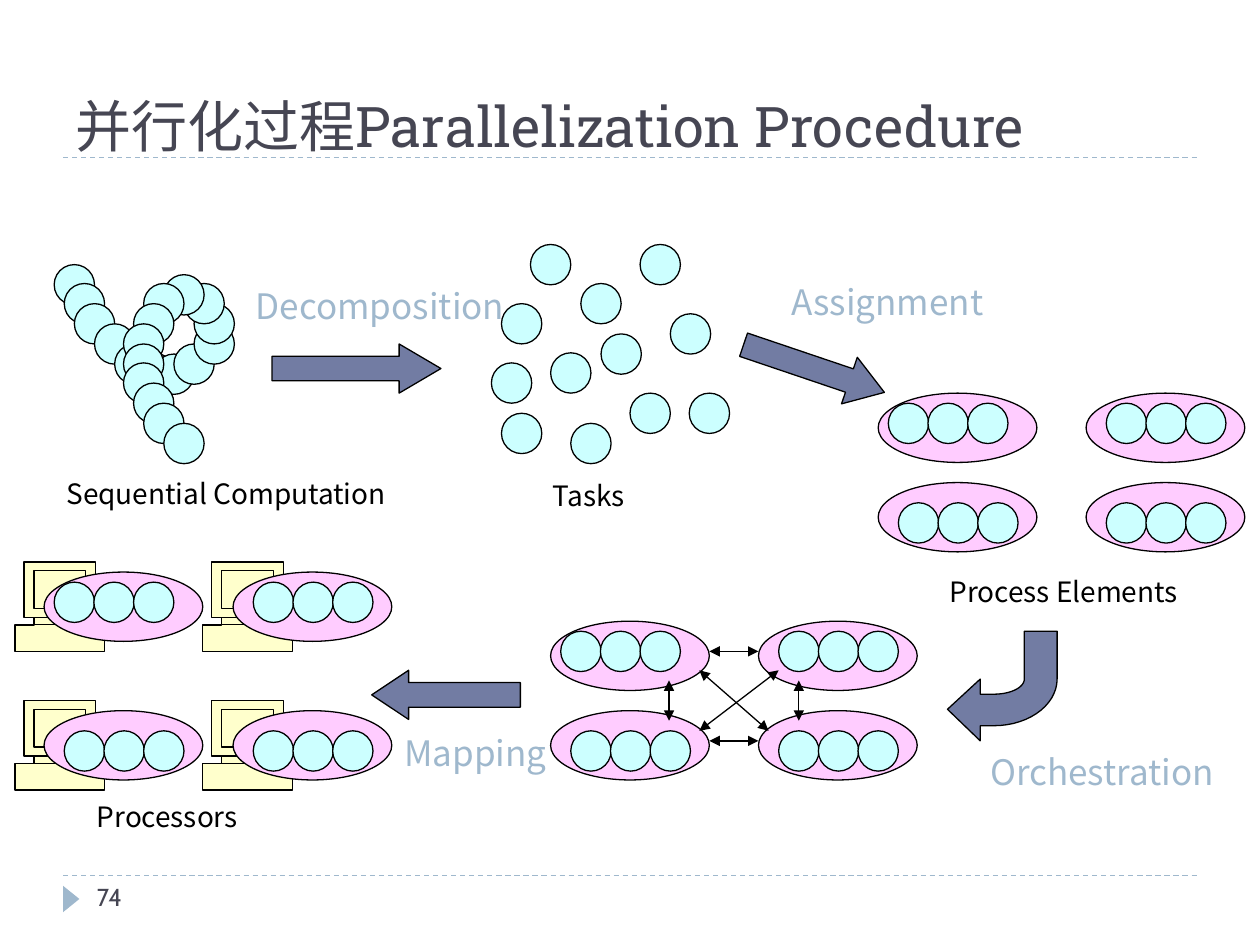
import math

import pptx
import pptx.dml.color
import pptx.enum.dml
import pptx.enum.shapes
import pptx.enum.text
import pptx.oxml
import pptx.oxml.ns
import pptx.util
from pptx.util import Inches

RGBColor = pptx.dml.color.RGBColor
Shape = pptx.enum.shapes.MSO_SHAPE

BLACK = RGBColor(0x00, 0x00, 0x00)
SLATE = RGBColor(0x46, 0x46, 0x53)
SKY = RGBColor(0x9F, 0xB8, 0xCD)
INDIGO = RGBColor(0x72, 0x7C, 0xA3)
CYAN = RGBColor(0xCC, 0xFF, 0xFF)
PINK = RGBColor(0xFF, 0xCC, 0xFF)
CREAM = RGBColor(0xFF, 0xFF, 0xCC)

TITLE_FONT = "Roboto Slab"
LABEL_FONT = "Noto Sans CJK JP"
NUMBER_FONT = "Cabin"

TASK_SIZE = 0.32
TASK_STEP = 0.315
PROCESS_WIDTH, PROCESS_HEIGHT = 1.26, 0.55

SEQUENCE = [
    (0.43, 2.1), (0.51, 2.25), (0.59, 2.41), (0.75, 2.57), (0.91, 2.73),
    (1.06, 2.8), (1.22, 2.81), (1.38, 2.73), (1.54, 2.57), (1.54, 2.41),
    (1.46, 2.25), (1.3, 2.18), (1.14, 2.25), (1.06, 2.41), (0.98, 2.57),
    (0.98, 2.73), (0.98, 2.88), (1.06, 3.04), (1.14, 3.2), (1.3, 3.36),
]
SCATTERED_TASKS = [
    (3.98, 2.41), (4.77, 2.65), (5.08, 1.94), (4.61, 2.25), (3.9, 2.88),
    (3.98, 3.28), (4.53, 3.36), (5, 3.12), (4.37, 2.8), (5.47, 3.12),
    (4.21, 1.94), (5.32, 2.49),
]
# Task offset inside each process ellipse, by (row, column)
TASK_OFFSETS = {(0, 0): (0.08, 0.08), (0, 1): (0.16, 0.08),
                (1, 0): (0.16, 0.16), (1, 1): (0.16, 0.16)}
COMPUTER_OUTLINE = [
    (0.56, 0.5), (0.56, 0.44), (0.64, 0.44), (0.64, 0), (0.07, 0),
    (0.07, 0.44), (0.15, 0.44), (0.15, 0.5), (0, 0.5), (0, 0.71),
    (0.71, 0.71), (0.71, 0.5),
]
COMPUTER_PARTS = [(0.15, 0.44, 0.41, 0.06), (0.15, 0.07, 0.41, 0.3),
                  (0.46, 0.54, 0.2, 0.02)]
COMMUNICATION = [
    (5.55, 5.32, 6.1, 5.8), (5.55, 5.8, 6.18, 5.32),
    (5.63, 5.17, 6.02, 5.17), (5.63, 5.88, 6.02, 5.88),
    (6.34, 5.72, 6.34, 5.4), (5.31, 5.72, 5.31, 5.4),
]
STAGES = [
    ("Sequential Computation", 0.43, 3.73, 2.84), ("Tasks", 4.29, 3.75, 0.87),
    ("Process Elements", 7.44, 4.51, 2.13), ("Processors", 0.67, 6.3, 1.42),
]
STEPS = [
    ("Decomposition", 1.93, 2.21, 2.28), ("Assignment", 6.18, 2.18, 2.28),
    ("Orchestration", 7.76, 5.91, 2.05), ("Mapping", 3.11, 5.76, 1.34),
]


def paint(shape, fill, outlined=True):
    shape.shadow.inherit = False
    shape.fill.solid()
    shape.fill.fore_color.rgb = fill
    if outlined:
        shape.line.color.rgb = BLACK
        shape.line.width = pptx.util.Pt(0.75)
    else:
        shape.line.fill.background()


def add_preset(page, kind, left, top, width, height, fill, outlined=True):
    shape = page.shapes.add_shape(
        kind, Inches(left), Inches(top), Inches(width), Inches(height))
    paint(shape, fill, outlined)
    return shape


def add_outline(page, points, fill):
    corners = [(Inches(x), Inches(y)) for x, y in points]
    builder = page.shapes.build_freeform(*corners[0])
    builder.add_line_segments(corners[1:], close=True)
    paint(builder.convert_to_shape(), fill)


def add_label(page, text, left, top, width, height, size, font, color,
              anchor=pptx.enum.text.MSO_ANCHOR.TOP):
    box = page.shapes.add_textbox(
        Inches(left), Inches(top), Inches(width), Inches(height))
    frame = box.text_frame
    frame.word_wrap = True
    frame.vertical_anchor = anchor
    para = frame.paragraphs[0]
    para.text = text
    para.font.size = pptx.util.Pt(size)
    para.font.name = font
    para.font.color.rgb = color


def add_line(page, x1, y1, x2, y2, color):
    line = page.shapes.add_connector(
        pptx.enum.shapes.MSO_CONNECTOR.STRAIGHT,
        Inches(x1), Inches(y1), Inches(x2), Inches(y2))
    line.line.color.rgb = color
    line.line.width = pptx.util.Pt(0.75)
    effects = pptx.oxml.parse_xml(
        "<a:effectLst %s/>" % pptx.oxml.ns.nsdecls("a"))
    line._element.spPr.append(effects)
    return line


def add_double_arrow(page, x1, y1, x2, y2):
    line = add_line(page, x1, y1, x2, y2, BLACK)
    for end in ("headEnd", "tailEnd"):
        line.line._get_or_add_ln().append(pptx.oxml.parse_xml(
            '<a:%s %s type="triangle"/>' % (end, pptx.oxml.ns.nsdecls("a"))))


def add_block_arrow(page, left, top, width, head, rotation=0):
    arrow = add_preset(
        page, Shape.RIGHT_ARROW, left, top, width, 0.39, INDIGO)
    arrow.adjustments[0] = 0.5
    arrow.adjustments[1] = head
    arrow.rotation = rotation


def add_bent_arrow(page):
    """Arrow that comes down and turns left through a quarter ellipse."""
    def quarter(radius_x, radius_y):
        angles = [math.radians(degrees) for degrees in range(0, 91, 6)]
        return [(7.89 + radius_x * math.cos(angle),
                 5.39 + radius_y * math.sin(angle)) for angle in angles]

    outer, inner = quarter(0.5, 0.37), quarter(0.24, 0.12)
    head = [(7.78, 5.51), (7.78, 5.39), (7.52, 5.63), (7.78, 5.88),
            (7.78, 5.76)]
    points = [(8.39, 5.01), (8.13, 5.01)] + inner + head + outer[::-1]
    add_outline(page, points, INDIGO)


def add_task(page, left, top):
    add_preset(page, Shape.OVAL, left, top, TASK_SIZE, TASK_SIZE, CYAN)


def add_process_grid(page, left, top, column_step, row_step):
    for (row, column), (dx, dy) in TASK_OFFSETS.items():
        x, y = left + column * column_step, top + row * row_step
        add_preset(page, Shape.OVAL, x, y, PROCESS_WIDTH, PROCESS_HEIGHT, PINK)
        for index in range(3):
            add_task(page, x + dx + index * TASK_STEP, y + dy)


def add_computer(page, left, top):
    add_outline(page, [(left + x, top + y) for x, y in COMPUTER_OUTLINE], CREAM)
    for x, y, width, height in COMPUTER_PARTS:
        add_preset(page, Shape.RECTANGLE, left + x, top + y, width, height, CREAM)


def add_page_frame(page):
    for y in (6.95, 1.25):
        rule = add_line(page, 0.5, y, 9.5, y, SKY)
        rule.line.dash_style = pptx.enum.dml.MSO_LINE.DASH
    marker = add_preset(page, Shape.ISOSCELES_TRIANGLE,
                        0.46, 7.07, 0.21, 0.13, SKY, outlined=False)
    marker.rotation = 90
    add_label(page, "并行化过程Parallelization Procedure", 0.5, 0.06, 8.13, 1.25,
              32, TITLE_FONT, SLATE, pptx.enum.text.MSO_ANCHOR.BOTTOM)
    add_label(page, "74", 0.67, 6.95, 2.17, 0.4, 14, NUMBER_FONT, SLATE)


def main():
    deck = pptx.Presentation()
    deck.slide_width, deck.slide_height = Inches(10), Inches(7.5)
    page = deck.slides.add_slide(deck.slide_layouts[6])
    add_page_frame(page)

    for left, top in SEQUENCE + SCATTERED_TASKS:
        add_task(page, left, top)
    add_process_grid(page, 6.97, 3.12, 1.65, 0.71)
    add_process_grid(page, 4.37, 4.93, 1.65, 0.71)
    for ends in COMMUNICATION:
        add_double_arrow(page, *ends)
    for top in (4.46, 5.56):
        for left in (0.12, 1.61):
            add_computer(page, left, top)
    add_process_grid(page, 0.35, 4.54, 1.5, 1.1)

    add_block_arrow(page, 2.16, 2.73, 1.34, 0.85)
    add_block_arrow(page, 5.87, 2.73, 1.18, 0.75, 18.7)
    add_bent_arrow(page)
    add_block_arrow(page, 2.95, 5.32, 1.18, 0.75, 180)

    for text, left, top, width in STAGES:
        add_label(page, text, left, top, width, 0.37, 16, LABEL_FONT, BLACK)
    for text, left, top, width in STEPS:
        add_label(page, text, left, top, width, 0.43, 20, LABEL_FONT, SKY)
    deck.save("out.pptx")


if __name__ == "__main__":
    main()
